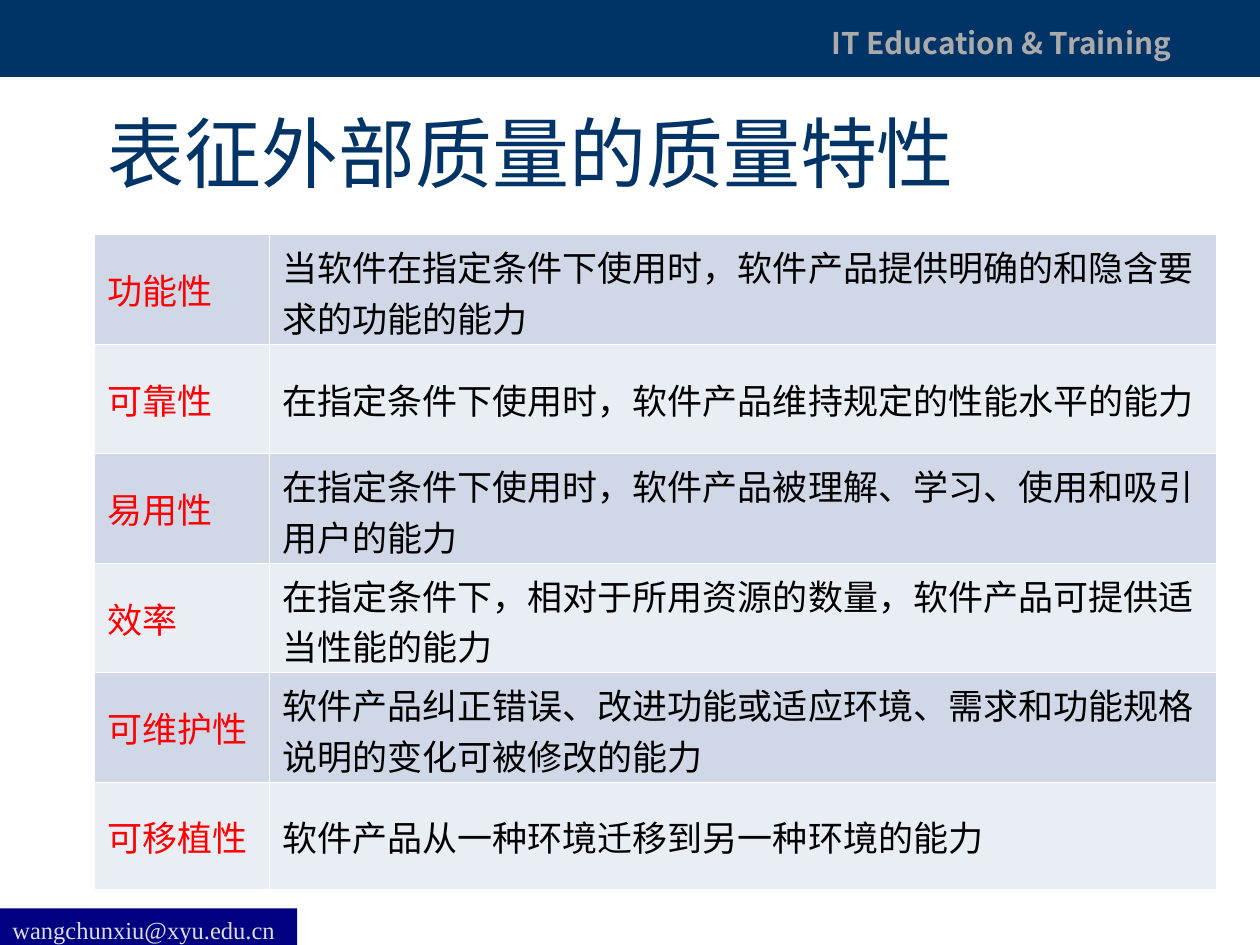
from lxml.etree import SubElement
from pptx import Presentation
from pptx.dml.color import RGBColor
from pptx.enum.shapes import MSO_SHAPE
from pptx.enum.text import MSO_ANCHOR, PP_ALIGN
from pptx.oxml.ns import qn
from pptx.util import Inches, Pt

HEADER = "IT Education & Training"
TITLE = "表征外部质量的质量特性"
EMAIL = "wangchunxiu@xyu.edu.cn"
QUALITIES = [
    ("功能性", "当软件在指定条件下使用时，软件产品提供明确的和隐含要求的功能的能力"),
    ("可靠性", "在指定条件下使用时，软件产品维持规定的性能水平的能力"),
    ("易用性", "在指定条件下使用时，软件产品被理解、学习、使用和吸引用户的能力"),
    ("效率", "在指定条件下，相对于所用资源的数量，软件产品可提供适当性能的能力"),
    ("可维护性", "软件产品纠正错误、改进功能或适应环境、需求和功能规格说明的变化可被修改的能力"),
    ("可移植性", "软件产品从一种环境迁移到另一种环境的能力"),
]
COLUMN_WIDTHS = (1.39, 7.51)
TEXT_COLORS = ("FF0000", "000000")
BAND_FILLS = ("D0D8E8", "E9EDF4")
CHINESE_FONT = "Noto Sans CJK SC"


def paint(fill, color):
    fill.solid()
    fill.fore_color.rgb = RGBColor.from_string(color)


def write(frame, text, size, font, color, bold=False, asian_font=CHINESE_FONT):
    para = frame.paragraphs[0]
    para.alignment = PP_ALIGN.LEFT
    span = para.add_run()
    span.text = text
    span.font.size = Pt(size)
    span.font.name = font
    span.font.bold = bold
    paint(span.font.fill, color)
    SubElement(span.font._element, qn("a:ea"), typeface=asian_font)
    return para


def add_bar(page, left, top, width, height, color):
    bar = page.shapes.add_shape(
        MSO_SHAPE.RECTANGLE, Inches(left), Inches(top), Inches(width), Inches(height)
    )
    bar.shadow.inherit = False
    bar.line.fill.background()
    paint(bar.fill, color)
    return bar


def add_borders(cell, color, width):
    properties = cell._tc.get_or_add_tcPr()
    for side in ("lnL", "lnR", "lnT", "lnB"):
        line = SubElement(properties, qn(f"a:{side}"), w=str(Pt(width)))
        fill = SubElement(line, qn("a:solidFill"))
        SubElement(fill, qn("a:srgbClr"), val=color)


def add_header(page):
    add_bar(page, 0, 0, 10, 0.61, "003366")
    box = page.shapes.add_textbox(Inches(6.5), Inches(0.15), Inches(3.43), Inches(0.38))
    box.text_frame.word_wrap = True
    write(box.text_frame, HEADER, 17, "Noto Sans CJK TC", "AAAAAA", True, "Noto Sans CJK TC")


def add_footer(page):
    bar = add_bar(page, 0, 7.21, 2.36, 0.29, "000080")
    bar.text_frame.vertical_anchor = MSO_ANCHOR.TOP
    write(bar.text_frame, EMAIL, 14, "Times New Roman", "DDDDDD")


def fill_title(page):
    title = page.shapes.title
    title.left, title.top = Inches(0.75), Inches(0.68)
    title.width, title.height = Inches(8.5), Inches(1.04)
    title.text_frame.vertical_anchor = MSO_ANCHOR.MIDDLE
    write(title.text_frame, TITLE, 44, CHINESE_FONT, "003366")


def add_quality_table(page):
    table = page.shapes.add_table(
        len(QUALITIES), len(COLUMN_WIDTHS),
        Inches(0.75), Inches(1.86), Inches(sum(COLUMN_WIDTHS)), Inches(5.2),
    ).table
    table.first_row = False
    table.horz_banding = False
    for column, width in zip(table.columns, COLUMN_WIDTHS):
        column.width = Inches(width)
    for index, texts in enumerate(QUALITIES):
        table.rows[index].height = Inches(0.85 if index == len(QUALITIES) - 1 else 0.87)
        for cell, text, color in zip(table.rows[index].cells, texts, TEXT_COLORS):
            add_borders(cell, "FFFFFF", 0.45)
            paint(cell.fill, BAND_FILLS[index % 2])
            cell.vertical_anchor = MSO_ANCHOR.MIDDLE
            para = write(cell.text_frame, text, 20, "Calibri", color)
            para.space_before = Pt(5)


def main():
    deck = Presentation()
    deck.slide_width, deck.slide_height = Inches(10), Inches(7.5)
    page = deck.slides.add_slide(deck.slide_layouts[5])
    add_header(page)
    add_footer(page)
    fill_title(page)
    add_quality_table(page)
    deck.save("out.pptx")


if __name__ == "__main__":
    main()
